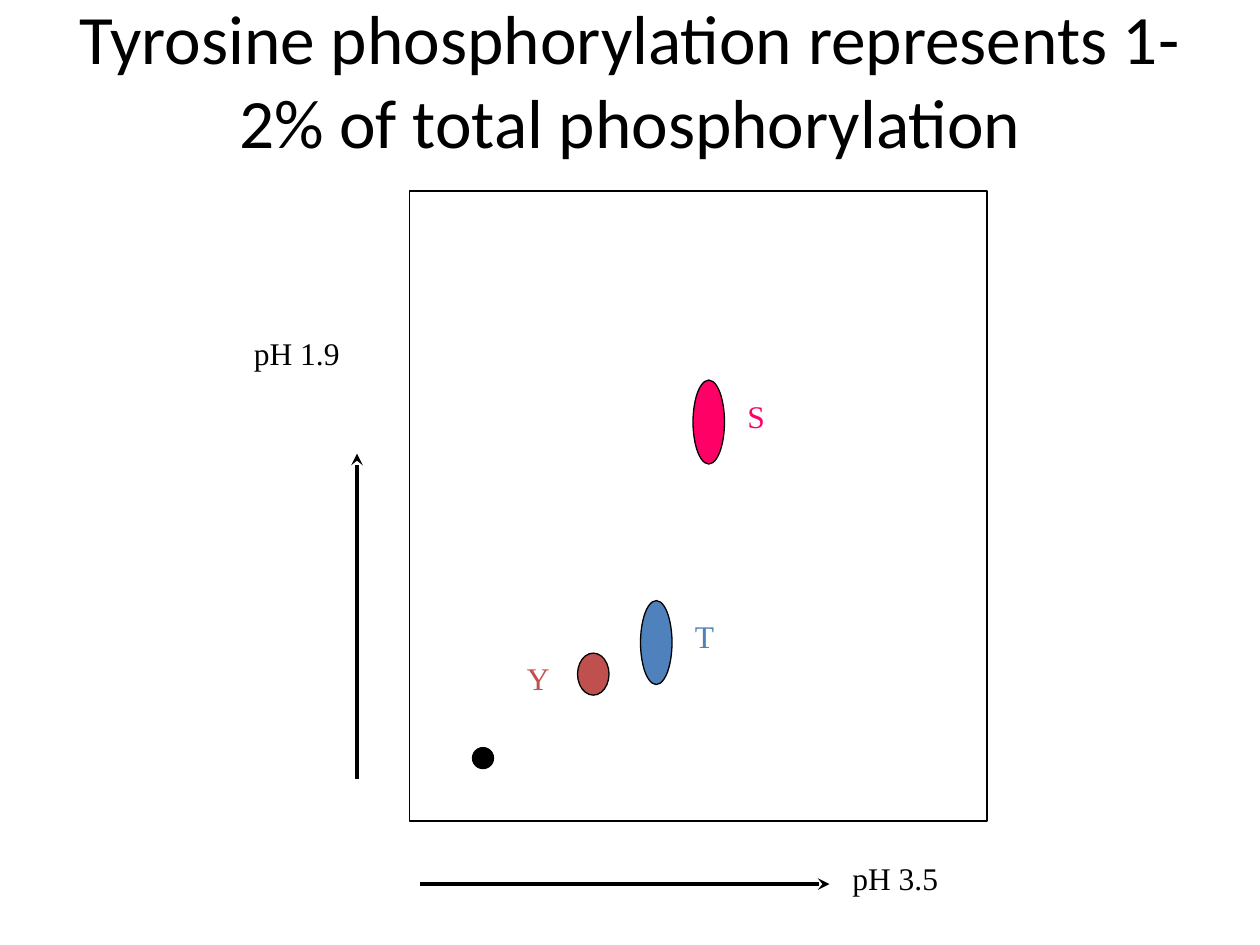
from lxml import etree
from pptx import Presentation
from pptx.dml.color import RGBColor
from pptx.enum import shapes, text
from pptx.oxml.ns import qn
from pptx.util import Pt

COLORS = {"black": "000000", "white": "FFFFFF", "serine": "FF0066",
          "threonine": "4F81BD", "tyrosine": "C0504D"}
TITLE = "Tyrosine phosphorylation represents 1-2% of total phosphorylation"
TITLE_BOX = (36, 0, 648, 90)

# left, top, width, height, preset, fill
SHAPES = [
    (234, 109.2, 330, 360, "RECTANGLE", "white"),
    (366, 343.2, 18, 48, "OVAL", "threonine"),
    (396, 217.2, 18, 48, "OVAL", "serine"),
    (330, 373.2, 18, 24, "OVAL", "tyrosine"),
    (270, 427.2, 12, 12, "OVAL", "black"),
]
# start x, start y, end x, end y
ARROWS = [(204, 445.2, 204, 259.2), (240, 505.2, 474, 505.2)]
# left, top, width, wording, colour
LABELS = [
    (138, 187.2, 80, "pH 1.9", "black"),
    (480, 487.2, 80, "pH 3.5", "black"),
    (420, 223.2, 28, "S", "serine"),
    (390, 349.2, 29, "T", "threonine"),
    (294, 373.2, 32, "Y", "tyrosine"),
]
LABEL_HEIGHT = 36


def rgb(name):
    """Return the named colour."""
    return RGBColor.from_string(COLORS[name])


def points(values):
    """Turn plain numbers into lengths in points."""
    return [Pt(value) for value in values]


def write(box, wording, color, font, frame):
    """Put one formatted span of text into a box."""
    for name, value in frame.items():
        setattr(box.text_frame, name, value)
    para = box.text_frame.paragraphs[0]
    span = para.add_run()
    span.text = wording
    for name, value in font.items():
        setattr(span.font, name, value)
    span.font.color.rgb = rgb(color)
    return para


def set_line(line, width):
    """Give a line its black colour and its width."""
    line.color.rgb = rgb("black")
    line.width = Pt(width)


def add_title(slide):
    """Place and write the slide title."""
    box = slide.shapes.title
    box.left, box.top, box.width, box.height = points(TITLE_BOX)
    para = write(box, TITLE, "black", {"name": "Calibri", "size": Pt(39.6)},
                 {"word_wrap": True, "auto_size": text.MSO_AUTO_SIZE.NONE,
                  "vertical_anchor": text.MSO_ANCHOR.MIDDLE})
    para.alignment = text.PP_ALIGN.CENTER


def add_shape(slide, left, top, width, height, preset, fill):
    """Draw the plate or one of its spots."""
    shape = slide.shapes.add_shape(shapes.MSO_SHAPE[preset],
                                   *points((left, top, width, height)))
    shape.shadow.inherit = False
    shape.fill.solid()
    shape.fill.fore_color.rgb = rgb(fill)
    set_line(shape.line, 0.75)


def add_arrow(slide, *ends):
    """Draw a straight arrow with a stealth head."""
    arrow = slide.shapes.add_connector(shapes.MSO_CONNECTOR.STRAIGHT, *points(ends))
    set_line(arrow.line, 2.25)
    etree.SubElement(arrow.line._get_or_add_ln(), qn("a:tailEnd"), type="stealth")
    etree.SubElement(arrow._element.spPr, qn("a:effectLst"))


def add_label(slide, left, top, width, wording, color):
    """Write one label."""
    box = slide.shapes.add_textbox(*points((left, top, width, LABEL_HEIGHT)))
    write(box, wording, color, {"name": "Times New Roman", "size": Pt(18)},
          {"word_wrap": False, "auto_size": text.MSO_AUTO_SIZE.SHAPE_TO_FIT_TEXT})


deck = Presentation()
deck.slide_width, deck.slide_height = points((720, 540))
page = deck.slides.add_slide(deck.slide_layouts.get_by_name("Title Only"))
add_title(page)
for add, items in ((add_shape, SHAPES), (add_arrow, ARROWS), (add_label, LABELS)):
    for item in items:
        add(page, *item)
deck.save("out.pptx")
